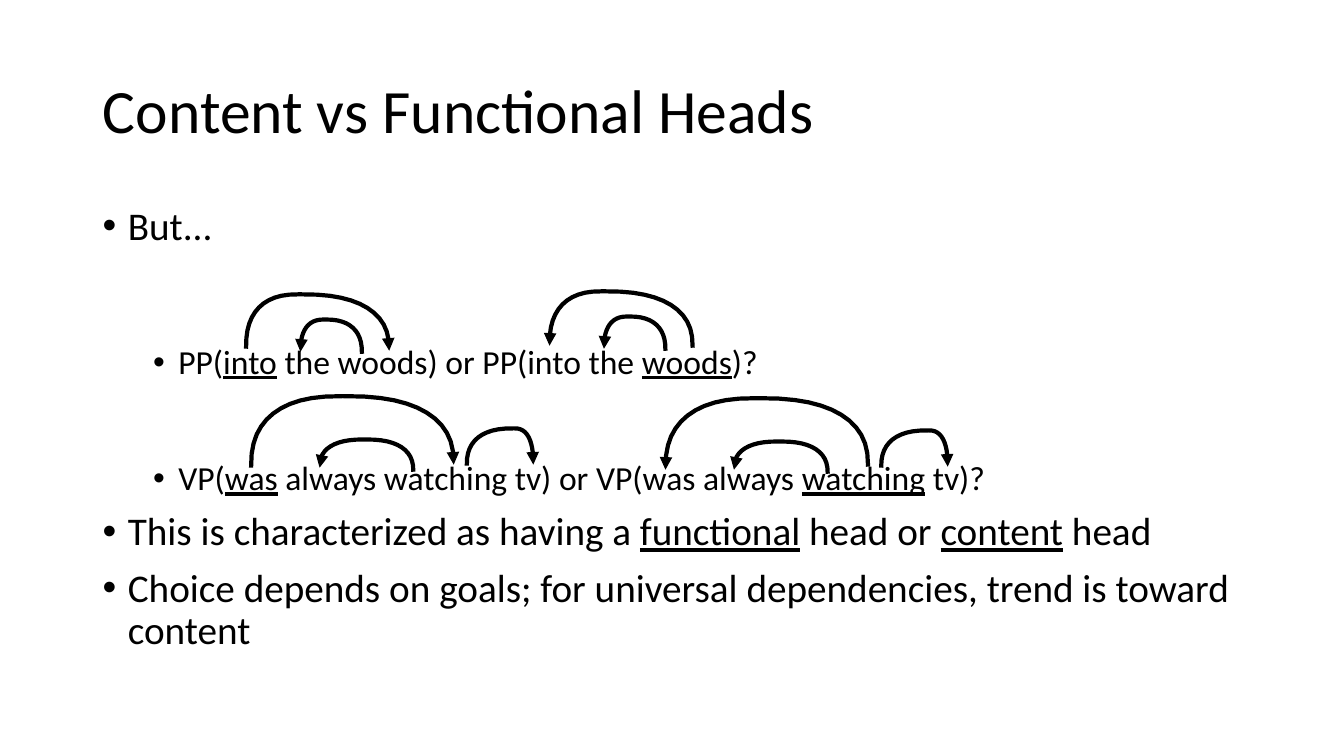
"""Slide on content and functional heads, with dependency arcs over two phrases."""
from math import cos, pi, sin
from lxml.etree import SubElement
from pptx import Presentation
from pptx.dml.color import RGBColor
from pptx.enum.text import MSO_ANCHOR, MSO_AUTO_SIZE, PP_ALIGN
from pptx.oxml.ns import qn
from pptx.util import Inches, Pt

BLACK = RGBColor(0, 0, 0)
FONT = "Calibri"
LEFT, WIDTH = Inches(0.92), Inches(11.5)
STEPS = 24
BEND = 0.8


def style(run, size):
    run.font.name = FONT
    run.font.size = Pt(size)
    run.font.color.rgb = BLACK


def arc(start, end, peak, right, down):
    spots = []
    for step in range(STEPS + 1):
        angle = pi * step / STEPS
        foot_x, foot_y = start if step < STEPS / 2 else end
        across = peak[0] + (foot_x - peak[0]) * abs(cos(angle)) ** BEND
        drop = (foot_y - peak[1]) * (1 - abs(sin(angle)) ** BEND)
        spots.append((Inches(across + right), Inches(peak[1] + drop + down)))
    pen = slide.shapes.build_freeform(*spots[0])
    pen.add_line_segments(spots[1:], close=False)
    shape = pen.convert_to_shape()
    shape.shadow.inherit = False
    shape.fill.background()
    shape.line.color.rgb = BLACK
    shape.line.width = Pt(3)
    line = shape.line._get_or_add_ln()
    SubElement(line, qn("a:round"))
    SubElement(line, qn("a:tailEnd"), type="triangle")


deck = Presentation()
deck.slide_width, deck.slide_height = Inches(13.33), Inches(7.5)
slide = deck.slides.add_slide(deck.slide_layouts[5])

title = slide.shapes.title
title.left, title.top, title.width, title.height = LEFT, Inches(0.4), WIDTH, Inches(1.45)
head = title.text_frame
head.text = "Content vs Functional Heads"
head.auto_size = MSO_AUTO_SIZE.NONE
head.vertical_anchor = MSO_ANCHOR.MIDDLE
head.paragraphs[0].alignment = PP_ALIGN.LEFT
head.paragraphs[0].line_spacing = 0.9
style(head.paragraphs[0].runs[0], 44)

# Each item: level, space before, text with _underlined_ words.
ITEMS = [
    (0, 10, "But..."),
    (1, 69, "PP(_into_ the woods) or PP(into the _woods_)?"),
    (1, 57, "VP(_was_ always watching tv) or VP(was always _watching_ tv)?"),
    (0, 10, "This is characterized as having a _functional_ head or _content_ head"),
    (0, 10, "Choice depends on goals; for universal dependencies, trend is toward content"),
]
body = slide.shapes.add_textbox(LEFT, Inches(2), WIDTH, Inches(4.76)).text_frame
body.word_wrap = True
for row, (level, gap, text) in enumerate(ITEMS):
    para = body.add_paragraph() if row else body.paragraphs[0]
    para.level = level
    para.line_spacing = 0.9
    para.space_before = Pt(gap)
    props = para._p.get_or_add_pPr()
    props.set("marL", str(Inches(0.25 + 0.5 * level)))
    props.set("indent", str(Inches(-0.25)))
    SubElement(props, qn("a:buFont"), typeface="Arial")
    SubElement(props, qn("a:buChar"), char="•")
    for part, words in enumerate(text.split("_")):
        run = para.add_run()
        run.text = words
        style(run, 28 - 4 * level)
        run.font.underline = part % 2 == 1

INTO_WOODS = (2.44, 3.46), (3.86, 3.48), (2.97, 2.92)
WOODS_THE = (3.59, 3.51), (2.98, 3.49), (3.22, 3.17)
WAS_WATCHING = (2.49, 4.64), (4.5, 4.61), (3.4, 3.93)
WATCHING_ALWAYS = (4.1, 4.68), (3.17, 4.64), (3.62, 4.36)
WATCHING_TV = (4.63, 4.62), (5.29, 4.61), (5.1, 4.25)

PHRASES = [
    (INTO_WOODS, [WOODS_THE], 3.01, -0.03),
    (WAS_WATCHING, [WATCHING_ALWAYS, WATCHING_TV], 4.11, 0.02),
]
for (function, content, peak), inner, right, down in PHRASES:
    arc(function, content, peak, 0, 0)
    arc(content, function, peak, right, down)
    for link in inner:
        arc(*link, 0, 0)
        arc(*link, right, down)

deck.save("out.pptx")
